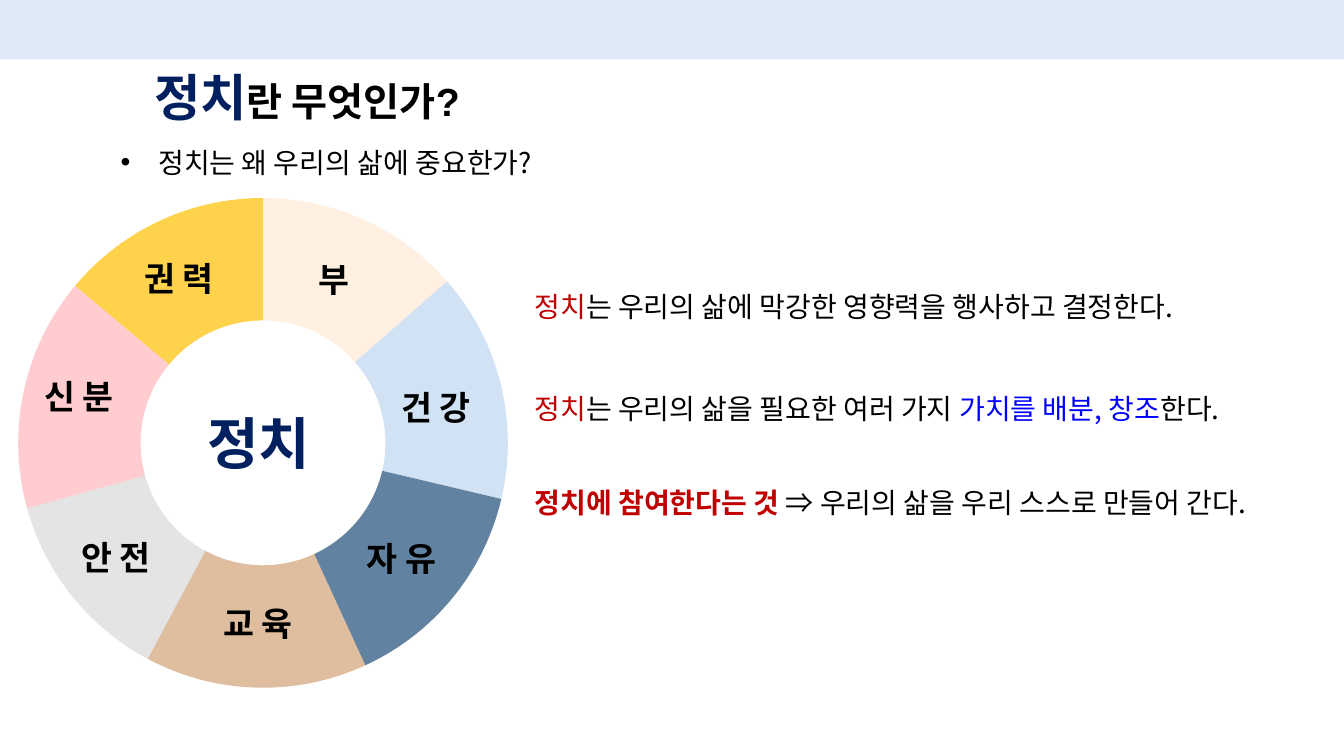
import lxml.etree
import pptx
import pptx.dml.color
import pptx.enum.shapes
import pptx.enum.text
import pptx.oxml.ns
import pptx.util
from pptx.util import Cm

KOREAN = "Noto Sans CJK KR"
BLACK, NAVY, RED, BLUE = "000000", "002060", "C00000", "0000FF"
JUSTIFY = pptx.enum.text.PP_ALIGN.JUSTIFY
FIT = pptx.enum.text.MSO_AUTO_SIZE.SHAPE_TO_FIT_TEXT
TOP = pptx.enum.text.MSO_ANCHOR.TOP
SHAPES = pptx.enum.shapes.MSO_SHAPE


def rgb(hex_colour):
    return pptx.dml.color.RGBColor.from_string(hex_colour)


def write(holder, place, runs, frame_format, paragraph_format):
    """Place a text holder (cm) and fill it with (text, size, colour, bold, font) runs."""
    for side, length in zip(("left", "top", "width", "height"), place):
        setattr(holder, side, Cm(length))
    frame = holder.text_frame
    for name, value in ({"auto_size": FIT, "vertical_anchor": TOP} | frame_format).items():
        setattr(frame, name, value)
    paragraph = frame.paragraphs[0]
    for name, value in paragraph_format.items():
        setattr(paragraph, name, value)
    for text, size, colour, bold, font_name in runs:
        run = paragraph.add_run()
        run.text = text
        font_format = {"size": pptx.util.Pt(size), "bold": bold, "name": font_name}
        for name, value in font_format.items():
            setattr(run.font, name, value)
        run.font.color.rgb = rgb(colour)
        east_asian = lxml.etree.SubElement(run.font._element, pptx.oxml.ns.qn("a:ea"))
        east_asian.set("typeface", KOREAN)
    return paragraph


deck = pptx.Presentation()
deck.slide_width, deck.slide_height = Cm(33.87), Cm(19.05)
slide = deck.slides.add_slide(deck.slide_layouts[5])
shapes = slide.shapes

# Title and question
write(shapes.title, (3.63, 1.55, 11.23, 1.93),
      [("정치", 36, NAVY, True, "Arial"), ("란 무엇인가?", 28, BLACK, True, "Arial")],
      {"word_wrap": True}, {"alignment": pptx.enum.text.PP_ALIGN.LEFT})

question = write(shapes.add_textbox(0, 0, 0, 0), (2.79, 3.53, 19.02, 1.12),
                 [("정치는 왜 우리의 삶에 중요한가?", 20, BLACK, False, KOREAN)],
                 {"word_wrap": True}, {"alignment": JUSTIFY})
question_properties = question._p.get_or_add_pPr()
question_properties.set("marL", str(Cm(0.95)))
question_properties.set("indent", str(-Cm(0.95)))
for tag, attribute, value in (("a:buFont", "typeface", "Arial"), ("a:buChar", "char", "•")):
    bullet = lxml.etree.SubElement(question_properties, pptx.oxml.ns.qn(tag))
    bullet.set(attribute, value)

# Statements: top, width, line spacing, runs
statements = [
    (7.04, 19.02, 1.0, [("정치", RED, False),
                        ("는 우리의 삶에 막강한 영향력을 행사하고 결정한다.", BLACK, False)]),
    (8.99, 21.18, 1.6, [("정치", RED, False),
                        ("는 우리의 삶을 필요한 여러 가지 ", BLACK, False),
                        ("가치를 배분, 창조", BLUE, False),
                        ("한다.", BLACK, False)]),
    (11.35, 21.74, 1.6, [("정치에 참여한다는 것 ", RED, True),
                         ("⇒ 우리의 삶을 우리 스스로 만들어 간다.", BLACK, False)]),
]
for top, width, spacing, parts in statements:
    runs = [(" ", 24, BLACK, False, KOREAN)]
    runs += [(text, 20, colour, bold, KOREAN) for text, colour, bold in parts]
    write(shapes.add_textbox(0, 0, 0, 0), (13.03, top, width, 1.27 if spacing == 1 else 1.9),
          runs, {"word_wrap": True}, {"alignment": JUSTIFY, "line_spacing": spacing})

# Ring of values, clockwise from the top: label, start angle, fill, label left, top, width
ring = [
    ("부", 270, "FFEAD5", 7.77, 6.4, 1.37),
    ("건 강", 318.75, "BDD7EE", 9.86, 9.63, 2.51),
    ("자 유", 13.25, "1F4E79", 8.99, 13.44, 2.51),
    ("교 육", 65.3, "D1A375", 5.38, 15.06, 2.51),
    ("안 전", 118.1, "D9D9D9", 1.8, 13.41, 2.51),
    ("신 분", 164.5, "FFB9BB", 0.86, 9.35, 2.51),
    ("권 력", 219.9, "FFC000", 3.38, 6.38, 2.51),
]
DEGREE = 0.6  # one degree in the units of an arc adjustment
for index, (label, start, colour, left, top, width) in enumerate(ring):
    end = ring[(index + 1) % len(ring)][1]
    sector = shapes.add_shape(SHAPES.BLOCK_ARC, Cm(0.46), Cm(4.99), Cm(12.34), Cm(12.34))
    for position, value in enumerate((start * DEGREE, end * DEGREE, 0.25)):
        sector.adjustments[position] = value
    sector.shadow.inherit = False
    sector.line.fill.background()
    sector.fill.solid()
    sector.fill.fore_color.rgb = rgb(colour)
    fill_colour = sector._element.spPr.find(".//" + pptx.oxml.ns.qn("a:srgbClr"))
    lxml.etree.SubElement(fill_colour, pptx.oxml.ns.qn("a:alpha")).set("val", "70000")
    write(shapes.add_textbox(0, 0, 0, 0), (left, top, width, 1.27),
          [(label, 24, BLACK, True, KOREAN)], {"word_wrap": False}, {})

write(shapes.add_textbox(0, 0, 0, 0), (4.98, 10.16, 3.35, 1.96),
      [("정치", 40, NAVY, True, KOREAN)], {"word_wrap": False}, {})

# Top band
band = shapes.add_shape(SHAPES.RECTANGLE, 0, 0, deck.slide_width, Cm(1.5))
band.shadow.inherit = False
band.line.fill.background()
band.fill.solid()
band.fill.fore_color.rgb = rgb("DEEBF7")

deck.save("out.pptx")
